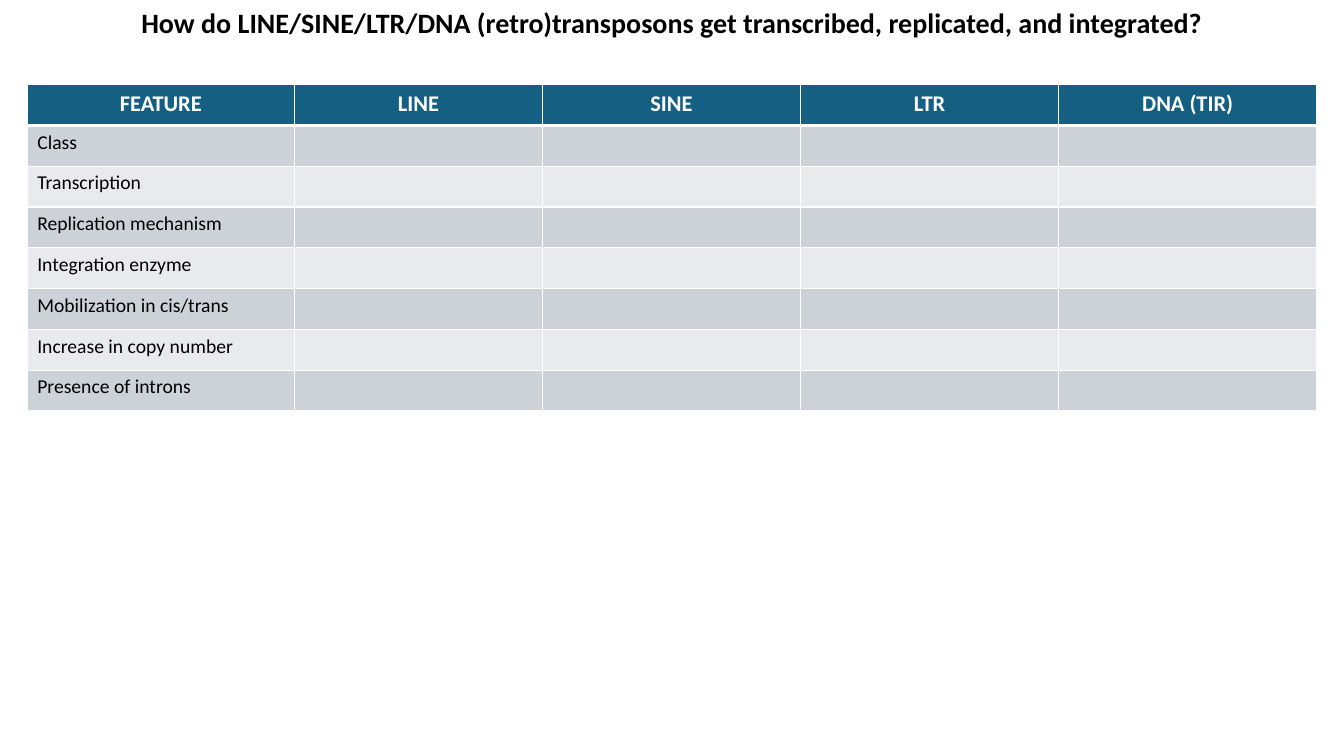
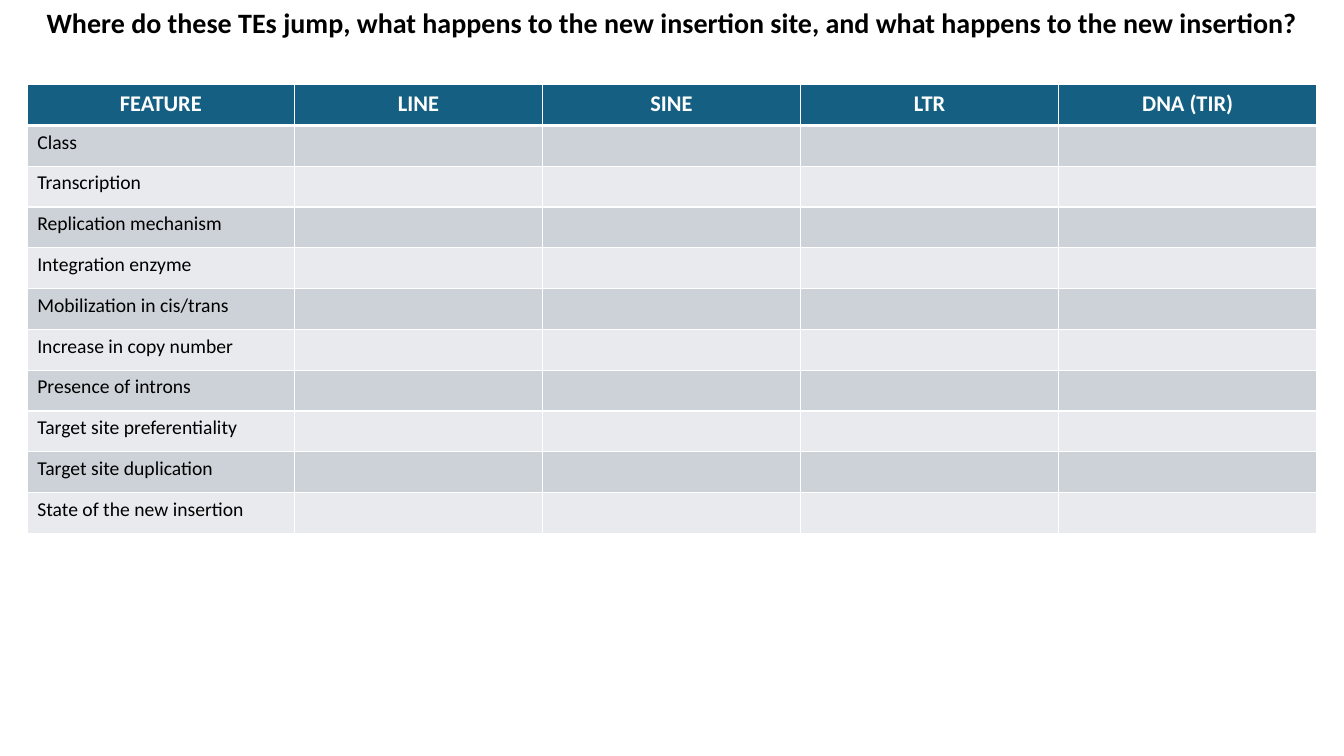
from lxml import etree
from pptx import Presentation
from pptx.dml.color import RGBColor
from pptx.enum.text import MSO_ANCHOR, MSO_AUTO_SIZE, PP_ALIGN
from pptx.oxml.ns import qn
from pptx.util import Inches, Pt

CENTER, LEFT = PP_ALIGN.CENTER, PP_ALIGN.LEFT
TOP = MSO_ANCHOR.TOP
GROW = MSO_AUTO_SIZE.SHAPE_TO_FIT_TEXT
TITLE_ONLY = 5

BLACK = RGBColor(0x00, 0x00, 0x00)
WHITE = RGBColor(0xFF, 0xFF, 0xFF)
TEAL = RGBColor(0x15, 0x60, 0x82)
BANDS = (RGBColor(0xCC, 0xD2, 0xD8), RGBColor(0xE8, 0xEA, 0xED))

FONT = "Calibri"
TITLE_FONT = {"name": FONT, "size": Pt(20), "bold": True}
HEADER_FONT = {"name": FONT, "size": Pt(16), "bold": True}
FEATURE_FONT = {"name": FONT, "size": Pt(14), "bold": False}
TITLE_FRAME = {
    "margin_left": Inches(0.1), "margin_right": Inches(0.1),
    "margin_top": Inches(0.05), "margin_bottom": Inches(0.05),
    "vertical_anchor": TOP, "word_wrap": True, "auto_size": GROW,
}

SLIDE_WIDTH, SLIDE_HEIGHT = Inches(13.33), Inches(7.5)
TABLE_LEFT, TABLE_TOP = Inches(0.27), Inches(0.84)
ROW_HEIGHT = Inches(0.81) // 2
COLUMN_WIDTHS = [Inches(width) for width in (2.65, 2.46, 2.56, 2.56, 2.56)]
THIN, THICK = Pt(1), Pt(3)

HEADERS = ["FEATURE", "LINE", "SINE", "LTR", "DNA (TIR)"]
MECHANISM_FEATURES = [
    "Class",
    "Transcription",
    "Replication mechanism",
    "Integration enzyme",
    "Mobilization in cis/trans",
    "Increase in copy number",
    "Presence of introns",
]
INSERTION_FEATURES = [
    "Target site preferentiality",
    "Target site duplication",
    "State of the new insertion",
]
QUESTIONS = [
    ("How do LINE/SINE/LTR/DNA (retro)transposons get transcribed, "
     "replicated, and integrated?",
     Inches(0.44), MECHANISM_FEATURES),
    ("Where do these TEs jump, what happens to the new insertion site, "
     "and what happens to the new insertion?",
     Inches(0.77), MECHANISM_FEATURES + INSERTION_FEATURES),
]


def apply_format(target, values):
    for attribute, value in values.items():
        setattr(target, attribute, value)


def write_text(paragraph, text, font_format, color, alignment):
    paragraph.alignment = alignment
    run = paragraph.add_run()
    run.text = text
    apply_format(run.font, font_format)
    run.font.color.rgb = color


def add_title(slide, question, height):
    title = slide.shapes.title
    apply_format(title, {"left": 0, "top": 0, "width": SLIDE_WIDTH, "height": height})
    apply_format(title.text_frame, TITLE_FRAME)
    write_text(title.text_frame.paragraphs[0], question, TITLE_FONT, BLACK, CENTER)


def set_borders(cell, top, bottom):
    properties = cell._tc.get_or_add_tcPr()
    for side, width in (("L", THIN), ("R", THIN), ("T", top), ("B", bottom)):
        line = etree.SubElement(properties, qn(f"a:ln{side}"), w=str(width))
        fill = etree.SubElement(line, qn("a:solidFill"))
        etree.SubElement(fill, qn("a:srgbClr"), val=str(WHITE))


def fill_cell(cell, color, top=THIN, bottom=THIN):
    set_borders(cell, top, bottom)
    cell.fill.solid()
    cell.fill.fore_color.rgb = color


def add_feature_table(slide, features):
    row_count = len(features) + 1
    table = slide.shapes.add_table(
        row_count, len(HEADERS), TABLE_LEFT, TABLE_TOP,
        sum(COLUMN_WIDTHS), ROW_HEIGHT * row_count).table
    for column, width in zip(table.columns, COLUMN_WIDTHS):
        column.width = width
    for index, header in enumerate(HEADERS):
        cell = table.cell(0, index)
        fill_cell(cell, TEAL, bottom=THICK)
        write_text(cell.text_frame.paragraphs[0], header, HEADER_FONT, WHITE, CENTER)
    for row, feature in enumerate(features, start=1):
        for column in range(len(HEADERS)):
            fill_cell(table.cell(row, column), BANDS[(row - 1) % 2],
                      top=THICK if row == 1 else THIN)
        write_text(table.cell(row, 0).text_frame.paragraphs[0], feature,
                   FEATURE_FONT, BLACK, LEFT)


def main():
    presentation = Presentation()
    presentation.slide_width = SLIDE_WIDTH
    presentation.slide_height = SLIDE_HEIGHT
    for question, title_height, features in QUESTIONS:
        slide = presentation.slides.add_slide(presentation.slide_layouts[TITLE_ONLY])
        add_title(slide, question, title_height)
        add_feature_table(slide, features)
    presentation.save("out.pptx")


if __name__ == "__main__":
    main()
